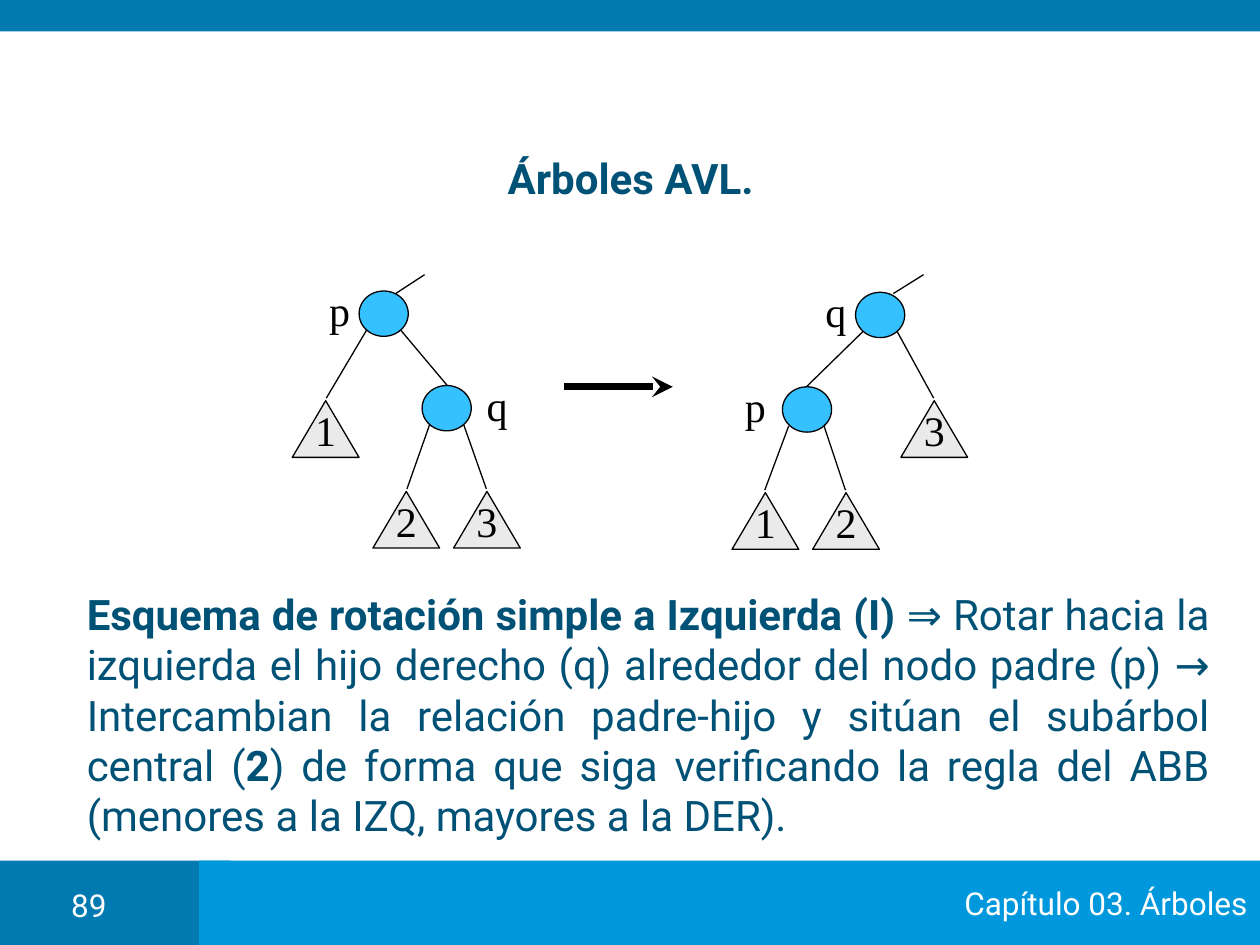
from lxml import etree
from pptx import Presentation
from pptx.dml.color import RGBColor
from pptx.enum.shapes import MSO_CONNECTOR, MSO_SHAPE
from pptx.enum.text import MSO_ANCHOR, PP_ALIGN
from pptx.oxml.ns import qn
from pptx.util import Inches, Pt

CENTER, RIGHT, JUSTIFY = PP_ALIGN.CENTER, PP_ALIGN.RIGHT, PP_ALIGN.JUSTIFY
TOP, MIDDLE = MSO_ANCHOR.TOP, MSO_ANCHOR.MIDDLE
RECTANGLE, OVAL, TRIANGLE = MSO_SHAPE.RECTANGLE, MSO_SHAPE.OVAL, MSO_SHAPE.ISOSCELES_TRIANGLE
STRAIGHT = MSO_CONNECTOR.STRAIGHT

COLUMNS, ROWS = 100, 75
NODE_SIZE = (3.9, 3.6)
LEAF_SIZE = (5.3, 4.5)
LABEL_SIZE = (3.7, 5)

# Nodes: name, column, row, label offset. Leaves: number, column, row.
TREE_BEFORE = {
    "nodes": [("q", 33.5, 30.6, 4.1), ("p", 28.5, 23.1, -3.4)],
    "leaves": [("1", 23.2, 31.8), ("2", 29.6, 39), ("3", 36, 39)],
    "edges": [
        (31.4, 23.3, 33.7, 21.8),
        (29.1, 26.2, 25.9, 31.6),
        (31.8, 26.2, 35.5, 30.6),
        (34.1, 33.7, 32.3, 38.8),
        (36.8, 33.7, 38.6, 38.8),
    ],
}
TREE_AFTER = {
    "nodes": [("p", 62.1, 30.7, -4), ("q", 67.9, 23.2, -3.4)],
    "leaves": [("1", 58.1, 39.1), ("2", 64.5, 39.1), ("3", 71.5, 31.8)],
    "edges": [
        (70.9, 23.3, 73.3, 21.8),
        (68.5, 26.3, 64, 30.7),
        (62.6, 33.8, 60.7, 38.9),
        (65.4, 33.8, 67.1, 38.9),
        (71.2, 26.3, 74.1, 31.6),
    ],
}


def color(hex_code):
    return RGBColor.from_string(hex_code)


class SlideBuilder:
    """Holds the style and the current slide; lengths are grid columns and rows."""

    font, label_font = "Roboto", "Times New Roman"
    dark, bright, ink = "007AB1", "0098DC", "005176"
    node_fill, leaf_fill, black, white = "35C0FF", "EAEAEA", "000000", "FFFFFF"
    body_size, footer_size = 24, 18

    def __init__(self, deck):
        self.column = deck.slide_width / COLUMNS
        self.row = deck.slide_height / ROWS
        self.slide = deck.slides.add_slide(deck.slide_layouts[5])
        self.shapes = self.slide.shapes

    def place(self, left, top, width, height):
        return (round(left * self.column), round(top * self.row),
                round(width * self.column), round(height * self.row))

    def set_text(self, shape, pieces, size, hex_code, align, anchor=TOP, font=None, wrap=True):
        """Fill the shape with one paragraph of (text, bold) pieces."""
        frame = shape.text_frame
        frame.word_wrap, frame.vertical_anchor = wrap, anchor
        para = frame.paragraphs[0]
        para.alignment = align
        for text, bold in pieces:
            span = para.add_run()
            span.text = text
            span.font.name, span.font.size = font or self.font, Pt(size)
            span.font.bold, span.font.color.rgb = bold, color(hex_code)

    def title(self, text, *area):
        box = self.slide.shapes.title
        box.left, box.top, box.width, box.height = self.place(*area)
        self.set_text(box, [(text, True)], self.body_size, self.ink, CENTER, MIDDLE)

    def text(self, pieces, area, size, hex_code, align, **options):
        box = self.shapes.add_textbox(*self.place(*area))
        self.set_text(box, pieces, size, hex_code, align, **options)

    def shape(self, kind, area, fill, outline=None):
        shape = self.shapes.add_shape(kind, *self.place(*area))
        shape.shadow.inherit = False
        shape.fill.solid()
        shape.fill.fore_color.rgb = color(fill)
        if outline:
            shape.line.color.rgb = color(outline)
            shape.line.width = Pt(0.75)
        else:
            shape.line.fill.background()
        return shape

    def line(self, start_x, start_y, end_x, end_y, width=0.75, arrow=False):
        ends = self.place(start_x, start_y, end_x, end_y)
        connector = self.shapes.add_connector(STRAIGHT, *ends)
        connector.line.color.rgb = color(self.black)
        connector.line.width = Pt(width)
        properties = connector._element.spPr
        if arrow:
            etree.SubElement(properties.find(qn("a:ln")), qn("a:tailEnd"), type="stealth")
        etree.SubElement(properties, qn("a:effectLst"))

    def label(self, text, left, top):
        self.text([(text, False)], (left, top, *LABEL_SIZE), self.body_size, self.black,
                  CENTER, anchor=MIDDLE, font=self.label_font, wrap=False)

    def tree(self, nodes, leaves, edges):
        self.shapes = self.slide.shapes.add_group_shape().shapes
        for name, left, top, label_offset in nodes:
            self.shape(OVAL, (left, top, *NODE_SIZE), self.node_fill, self.black)
            self.label(name, left + label_offset, top - 1)
        for number, left, top in leaves:
            self.shape(TRIANGLE, (left, top, *LEAF_SIZE), self.leaf_fill, self.black)
            self.label(number, left + 0.8, top - 0.2)
        for edge in edges:
            self.line(*edge)
        self.shapes = self.slide.shapes

    def frame(self, page_number, chapter):
        """Draw the top band and the footer."""
        self.shape(RECTANGLE, (0, 68.3, 18.3, 6.7), self.dark)
        footer = self.shape(RECTANGLE, (15.8, 68.3, 84.2, 6.7), self.bright)
        self.set_text(footer, [(chapter, False)], self.footer_size, self.white, RIGHT,
                      MIDDLE, wrap=False)
        self.shape(RECTANGLE, (0, 0, COLUMNS, 2.5), self.dark)
        self.text([(page_number, False)], (3.5, 69.8, 7.1, 3.2), self.footer_size,
                  self.white, CENTER)


def main():
    deck = Presentation()
    deck.slide_width, deck.slide_height = Inches(10), Inches(7.5)
    page = SlideBuilder(deck)
    page.frame("89", "Capítulo 03. Árboles")
    page.title("Árboles AVL.", 8.3, 12, 83.5, 4.2)
    page.tree(**TREE_BEFORE)
    page.line(44.8, 30.7, 53.4, 30.7, width=4, arrow=True)
    page.tree(**TREE_AFTER)
    explanation = [
        ("Esquema de rotación simple a Izquierda (I)", True),
        (" ⇒ Rotar hacia la izquierda el hijo derecho (q) alrededor del nodo padre (p) → "
         "Intercambian la relación padre-hijo y sitúan el subárbol central (", False),
        ("2", True),
        (") de forma que siga verificando la regla del ABB "
         "(menores a la IZQ, mayores a la DER).", False),
    ]
    page.text(explanation, (5.9, 46.2, 91.1, 21.2), page.body_size, page.ink, JUSTIFY)
    deck.save("out.pptx")


if __name__ == "__main__":
    main()
